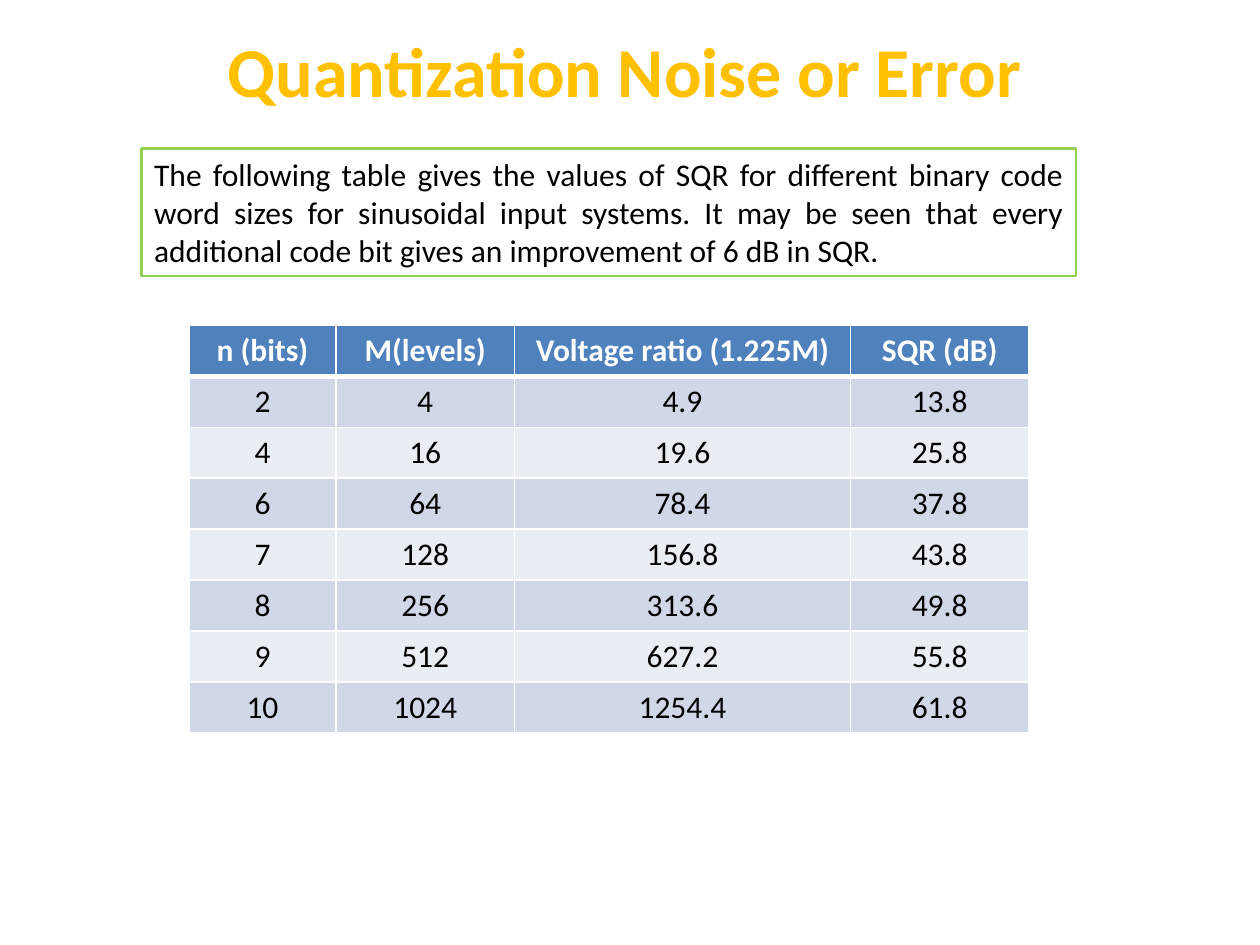
"""Build the quantization noise slide with its SQR table."""
from lxml import etree
from pptx import Presentation
from pptx import util as u
from pptx.dml.color import RGBColor
from pptx.enum import shapes, text
from pptx.oxml.ns import qn

Pt = u.Pt
ALIGN = text.PP_ALIGN

TITLE = "Quantization Noise or Error"
SUMMARY = (
    "The following table gives the values of SQR for different binary code word sizes "
    "for sinusoidal input systems. It may be seen that every additional code bit gives "
    "an improvement of 6 dB in SQR."
)
ROWS = [
    ("n (bits)", "M(levels)", "Voltage ratio (1.225M)", "SQR (dB)"),
    ("2", "4", "4.9", "13.8"),
    ("4", "16", "19.6", "25.8"),
    ("6", "64", "78.4", "37.8"),
    ("7", "128", "156.8", "43.8"),
    ("8", "256", "313.6", "49.8"),
    ("9", "512", "627.2", "55.8"),
    ("10", "1024", "1254.4", "61.8"),
]
COLUMN_WIDTHS = (84, 102, 192, 102)
ROW_HEIGHT = 29.1

FONT = "Calibri"
GOLD = RGBColor(0xFF, 0xC0, 0x00)
GREEN = RGBColor(0x92, 0xD0, 0x50)
BLUE = RGBColor(0x4F, 0x81, 0xBD)
BANDS = (RGBColor(0xE9, 0xED, 0xF4), RGBColor(0xD0, 0xD8, 0xE8))
WHITE = RGBColor(0xFF, 0xFF, 0xFF)
BLACK = RGBColor(0x00, 0x00, 0x00)


def write(frame, words, size, color, align, bold=False):
    paragraph = frame.paragraphs[0]
    paragraph.alignment = align
    run = paragraph.add_run()
    run.text = words
    run.font.name = FONT
    run.font.size = Pt(size)
    run.font.bold = bold
    run.font.color.rgb = color


def add_border(cell, side, width):
    properties = cell._tc.get_or_add_tcPr()
    line = etree.SubElement(properties, qn(f"a:ln{side}"), w=str(Pt(width)))
    fill = etree.SubElement(line, qn("a:solidFill"))
    etree.SubElement(fill, qn("a:srgbClr"), val=str(WHITE))


def add_title(slide):
    title = slide.shapes.add_textbox(Pt(123), Pt(12), Pt(474), Pt(55.7))
    title.text_frame.word_wrap = False
    write(title.text_frame, TITLE, 40, GOLD, ALIGN.JUSTIFY, bold=True)


def add_summary(slide):
    box = slide.shapes.add_shape(
        shapes.MSO_SHAPE.RECTANGLE, Pt(81), Pt(85), Pt(534), Pt(72.7))
    box.shadow.inherit = False
    box.fill.background()
    box.line.color.rgb = GREEN
    box.line.width = Pt(1.5)
    box.text_frame.word_wrap = True
    box.text_frame.vertical_anchor = text.MSO_ANCHOR.TOP
    write(box.text_frame, SUMMARY, 18, BLACK, ALIGN.JUSTIFY)


def add_sqr_table(slide):
    table = slide.shapes.add_table(
        len(ROWS), len(COLUMN_WIDTHS), Pt(108), Pt(186),
        Pt(sum(COLUMN_WIDTHS)), Pt(ROW_HEIGHT * len(ROWS))).table
    for column, width in zip(table.columns, COLUMN_WIDTHS):
        column.width = Pt(width)
    for index, (row, values) in enumerate(zip(table.rows, ROWS)):
        row.height = Pt(ROW_HEIGHT)
        header = index == 0
        for cell, value in zip(row.cells, values):
            for side in "LRTB":
                thick = (header and side == "B") or (index == 1 and side == "T")
                add_border(cell, side, 3 if thick else 1)
            cell.fill.solid()
            cell.fill.fore_color.rgb = BLUE if header else BANDS[index % 2]
            write(cell.text_frame, value, 18, WHITE if header else BLACK,
                  ALIGN.CENTER, bold=header)


def main():
    presentation = Presentation()
    presentation.slide_width = Pt(720)
    presentation.slide_height = Pt(540)
    slide = presentation.slides.add_slide(presentation.slide_layouts[6])
    add_title(slide)
    add_summary(slide)
    add_sqr_table(slide)
    presentation.save("out.pptx")


if __name__ == "__main__":
    main()
